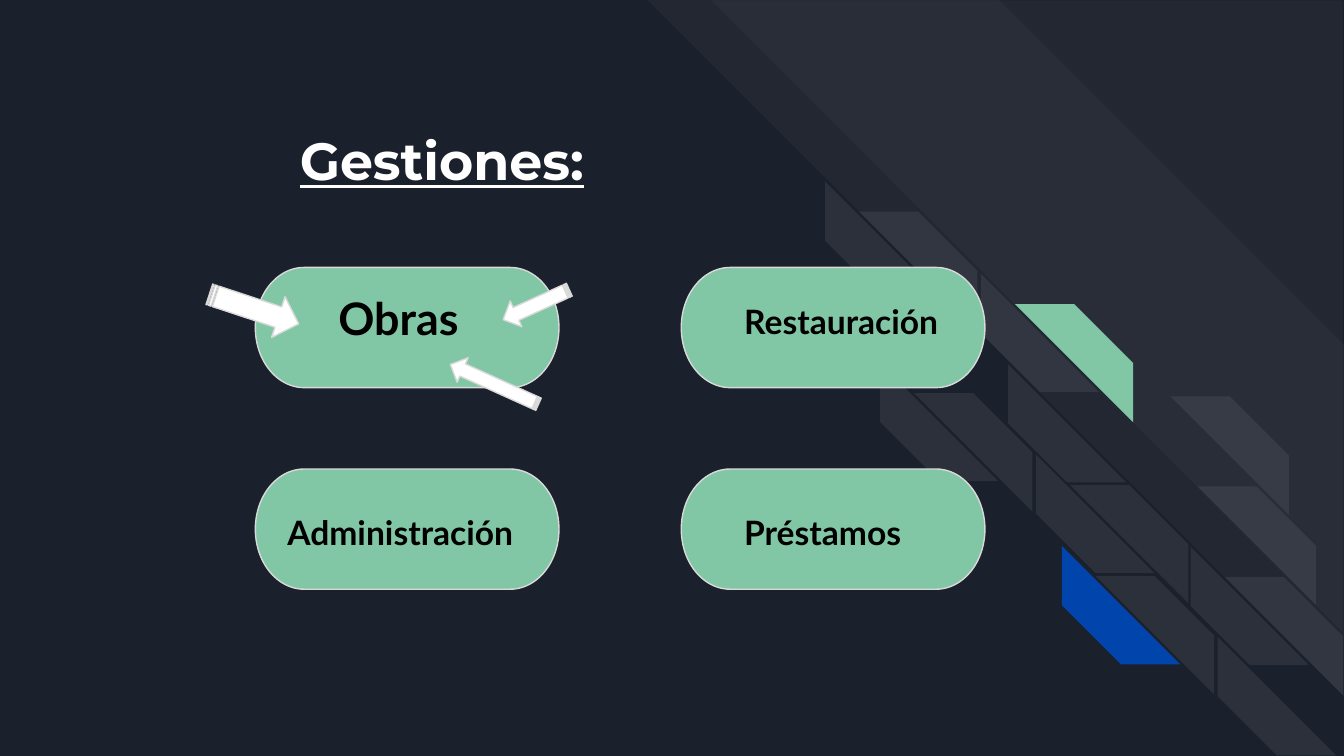
from dataclasses import dataclass

from lxml import etree
from pptx import Presentation
from pptx.dml.color import RGBColor
from pptx.enum.shapes import MSO_SHAPE
from pptx.enum.text import MSO_ANCHOR, MSO_AUTO_SIZE, PP_ALIGN
from pptx.oxml.ns import qn
from pptx.util import Pt

STRIPE = MSO_SHAPE.DIAGONAL_STRIPE
PILL = MSO_SHAPE.FLOWCHART_TERMINATOR
ARROW = MSO_SHAPE.STRIPED_RIGHT_ARROW
LEFT = PP_ALIGN.LEFT
TOP, MIDDLE = MSO_ANCHOR.TOP, MSO_ANCHOR.MIDDLE
NO_FIT = MSO_AUTO_SIZE.NONE


@dataclass(frozen=True)
class Theme:
    back: str = "1B212C"
    white: str = "FFFFFF"
    green: str = "82C7A5"
    blue: str = "0145AC"
    edge: str = "D9D9D9"
    ink: str = "000000"
    head_font: str = "Montserrat"
    body_font: str = "Lato"
    head: int = 28
    large: int = 24
    body: int = 18
    inset: float = 7.2
    rule: float = 0.75


THEME = Theme()


def add_form(slide, kind, box, color, edge=None, turn=0, alpha=None):
    """Add a filled preset shape; alpha is its opacity in percent."""
    form = slide.shapes.add_shape(kind, *map(Pt, box))
    form.shadow.inherit = False
    form.rotation = turn
    form.fill.solid()
    form.fill.fore_color.rgb = RGBColor.from_string(color)
    if alpha is not None:
        tint = form._element.spPr.find(qn("a:solidFill"))[0]
        etree.SubElement(tint, qn("a:alpha")).set("val", str(alpha * 1000))
    if edge:
        form.line.color.rgb = RGBColor.from_string(edge)
        form.line.width = Pt(THEME.rule)
    else:
        form.line.fill.background()
    return form


def set_text(shape, text, font, size, color, anchor=TOP, under=False):
    frame = shape.text_frame
    frame.word_wrap = True
    frame.auto_size = NO_FIT
    frame.vertical_anchor = anchor
    frame.margin_left = frame.margin_right = Pt(THEME.inset)
    frame.margin_top = frame.margin_bottom = Pt(THEME.inset)
    para = frame.paragraphs[0]
    para.alignment = LEFT
    run = para.add_run()
    run.text = text
    run.font.name = font
    run.font.size = Pt(size)
    run.font.bold = True
    run.font.underline = under
    run.font.color.rgb = RGBColor.from_string(color)


def add_wall(slide, box):
    """Draw the two wide bands and the bricks along the diagonal."""
    left, top, width, _ = box
    band = add_form(slide, STRIPE, box, THEME.white, turn=90, alpha=3)
    band.adjustments[0] = 0.495
    inner = (left + 34, top + 0.5, width - 34.5, width - 35)
    band = add_form(slide, STRIPE, inner, THEME.white, turn=90, alpha=3)
    band.adjustments[0] = 0

    size, step_x, step_y = 63.4, 18.2, 16.2
    # x, y, colour of the lower brick, colour of the upper brick
    pairs = [
        (95, 97.2, THEME.white, THEME.white),
        (124.5, 194.4, THEME.white, THEME.white),
        (178.5, 146.7, THEME.white, THEME.green),
        (193, 195.1, THEME.white, None),
        (561.9 - left + 47, 196.2, None, THEME.white),
        (576.3 - left + 47, 244.4, None, THEME.white),
        (208, 243.5, THEME.white, THEME.white),
        (221.8, 292.5, THEME.blue, THEME.white),
        (290.8, 292.9, THEME.white, THEME.white),
        (305.3, 341.3, THEME.white, None),
    ]
    for x, y, lower, upper in pairs:
        spots = [(lower, x, y, 270), (upper, x + step_x, y + step_y, 90)]
        for color, dx, dy, turn in spots:
            if color:
                spot = (left + dx, top + dy, size, size)
                alpha = 7 if color == THEME.white else None
                brick = add_form(slide, STRIPE, spot, color,
                                 turn=turn, alpha=alpha)
                brick.adjustments[0] = 0.5


def add_title(slide, box):
    title = slide.shapes.title
    title.left, title.top, title.width, title.height = map(Pt, box)
    set_text(title, "Gestiones:", THEME.head_font, THEME.head,
             THEME.white, MIDDLE, True)


def add_pills(slide, box):
    """Place the four topics in a grid of two by two."""
    left, top, width, height = box
    wide, high = 162.7, 64.4
    # column, row, text, size, label offset and width
    topics = [
        (0, 0, "Obras", THEME.large, 37.4, 5, 88.6),
        (0, 1, "Administración", THEME.body, 10.1, 15.8, 162.7),
        (1, 0, "Restauración", THEME.body, 26.6, 10.8, 136),
        (1, 1, "Préstamos", THEME.body, 26.6, 15.8, 125.3),
    ]
    for col, row, text, size, dx, dy, span in topics:
        x = left + col * (width - wide)
        y = top + row * (height - high)
        add_form(slide, PILL, (x, y, wide, high), THEME.green, THEME.edge)
        spot = map(Pt, (x + dx, y + dy, span, 66.2))
        label = slide.shapes.add_textbox(*spot)
        set_text(label, text, THEME.body_font, size, THEME.ink)


def add_arrows(slide, box):
    """Point three arrows at the first topic."""
    left, top = box[:2]
    arrows = [
        (131, 12.4, 38.9, 15.1, 155.6),
        (-25.9, 10.8, 50.4, 23, 18.3),
        (102.2, 55.4, 51.8, 14.4, 204.3),
    ]
    for x, y, wide, high, turn in arrows:
        spot = (left + x, top + y, wide, high)
        add_form(slide, ARROW, spot, THEME.white, THEME.edge, turn)


def main():
    deck = Presentation()
    deck.slide_width, deck.slide_height = Pt(720), Pt(405)
    slide = deck.slides.add_slide(deck.slide_layouts[5])
    slide.background.fill.solid()
    slide.background.fill.fore_color.rgb = RGBColor.from_string(THEME.back)
    topics = (136.8, 143.3, 390.9, 172.4)
    add_wall(slide, (347, 0, 373, 373))
    add_title(slide, (153.4, 40.3, 361.4, 90.7))
    add_pills(slide, topics)
    add_arrows(slide, topics)
    deck.save("out.pptx")


if __name__ == "__main__":
    main()
